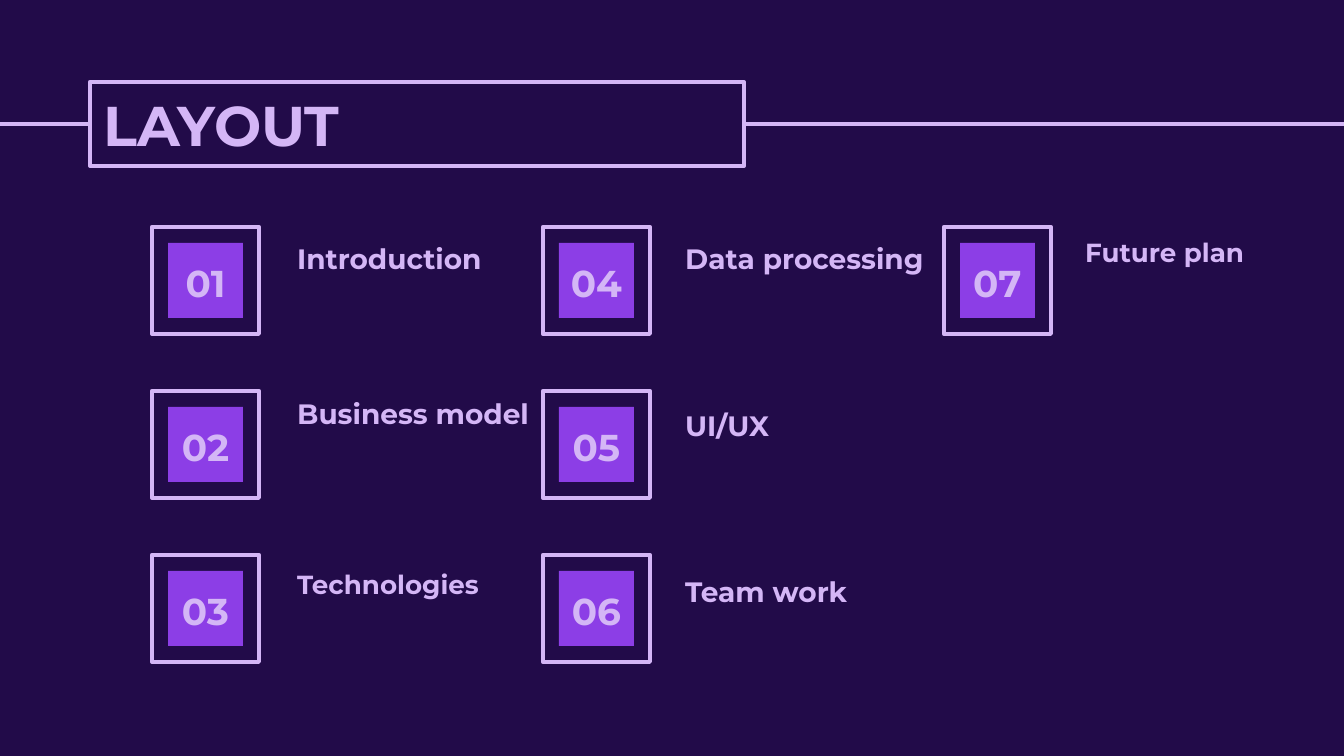
from lxml import etree
from pptx import Presentation
from pptx.dml.color import RGBColor
from pptx.enum.shapes import MSO_CONNECTOR, MSO_SHAPE
from pptx.enum.text import MSO_ANCHOR, MSO_AUTO_SIZE, PP_ALIGN
from pptx.oxml.ns import qn
from pptx.util import Emu, Pt

RECT = MSO_SHAPE.RECTANGLE
STRAIGHT = MSO_CONNECTOR.STRAIGHT
LEFT, CENTER = PP_ALIGN.LEFT, PP_ALIGN.CENTER
TOP, MIDDLE = MSO_ANCHOR.TOP, MSO_ANCHOR.MIDDLE
NO_FIT = MSO_AUTO_SIZE.NONE

EMU_PER_PX = 914400 / 134.4
FONT = "Montserrat"
NIGHT, LILAC, VIOLET = "220B49", "D4B6F6", "8C3EE6"
LINE_PT = 2.25

# Grid of numbered tiles
ROWS = 3
ROW_TOP, ROW_PITCH = 227, 164
COLUMN_LEFTS = (152, 543, 944)
LABEL_LEFTS = (284, 672, 1072)
TILE, INSET = 107, 16

# Label, top, text size, line spacing
TOPICS = [
    ("Introduction", 223, 15, 1.15),
    ("Business model", 378, 15, 1.15),
    ("Technologies", 550, 14, 1.15),
    ("Data processing", 223, 15, 1.15),
    ("UI/UX", 390, 15, 1.15),
    ("Team work", 556, 15, 1.15),
    ("Future plan", 223, 14, 1.0),
]


def px(n):
    return Emu(round(n * EMU_PER_PX))


def rgb(code):
    return RGBColor.from_string(code)


def set_line(line, color):
    line.color.rgb = rgb(color)
    line.width = Pt(LINE_PT)


def write(sp, text, size, align=LEFT, anchor=TOP, spacing=1.0):
    tf = sp.text_frame
    tf.text = text
    tf.word_wrap = True
    tf.auto_size = NO_FIT
    tf.vertical_anchor = anchor
    tf.margin_left = tf.margin_right = tf.margin_top = tf.margin_bottom = Pt(7.2)
    p = tf.paragraphs[0]
    p.alignment = align
    p.line_spacing = spacing
    font = p.runs[0].font
    font.name, font.size, font.bold = FONT, Pt(size), True
    font.color.rgb = rgb(LILAC)


def add_text(slide, x, y, w, h, text, size, **layout):
    sp = slide.shapes.add_textbox(px(x), px(y), px(w), px(h))
    write(sp, text, size, **layout)


def add_square(shapes, x, y, side, fill=None, line=None):
    sp = shapes.add_shape(RECT, px(x), px(y), px(side), px(side))
    sp.shadow.inherit = False
    if fill:
        sp.fill.solid()
        sp.fill.fore_color.rgb = rgb(fill)
    else:
        sp.fill.background()
    if line:
        set_line(sp.line, line)
    else:
        sp.line.fill.background()


def add_tile(slide, x, y, number):
    group = slide.shapes.add_group_shape()
    add_square(group.shapes, x, y, TILE, line=LILAC)
    add_square(group.shapes, x + INSET, y + INSET, TILE - 2 * INSET, fill=VIOLET)
    add_text(slide, x, y + 30, TILE, 51, f"{number:02d}", 20,
             align=CENTER, anchor=MIDDLE)


def add_title(slide, text):
    sp = slide.shapes.title
    sp.left, sp.top, sp.width, sp.height = px(90), px(82), px(654), px(84)
    sp.fill.solid()
    sp.fill.fore_color.rgb = rgb(NIGHT)
    set_line(sp.line, LILAC)
    write(sp, text, 30, anchor=MIDDLE)


def add_rule(slide, y):
    rule = slide.shapes.add_connector(STRAIGHT, 0, px(y), px(1344), px(y))
    set_line(rule.line, LILAC)
    etree.SubElement(rule._element.spPr, qn("a:effectLst"))
    # The rule runs behind the title box
    slide.shapes.title._element.addprevious(rule._element)


def main():
    prs = Presentation()
    prs.slide_width, prs.slide_height = px(1344), px(756)
    slide = prs.slides.add_slide(prs.slide_layouts[5])
    slide.background.fill.solid()
    slide.background.fill.fore_color.rgb = rgb(NIGHT)

    # Heading
    add_title(slide, "LAYOUT")
    add_rule(slide, 124)

    # Topics, filled column by column
    for i, (label, top, size, spacing) in enumerate(TOPICS):
        column, row = divmod(i, ROWS)
        add_tile(slide, COLUMN_LEFTS[column], ROW_TOP + row * ROW_PITCH, i + 1)
        add_text(slide, LABEL_LEFTS[column], top, 347, 62, label, size,
                 spacing=spacing)

    prs.save("out.pptx")


if __name__ == "__main__":
    main()
